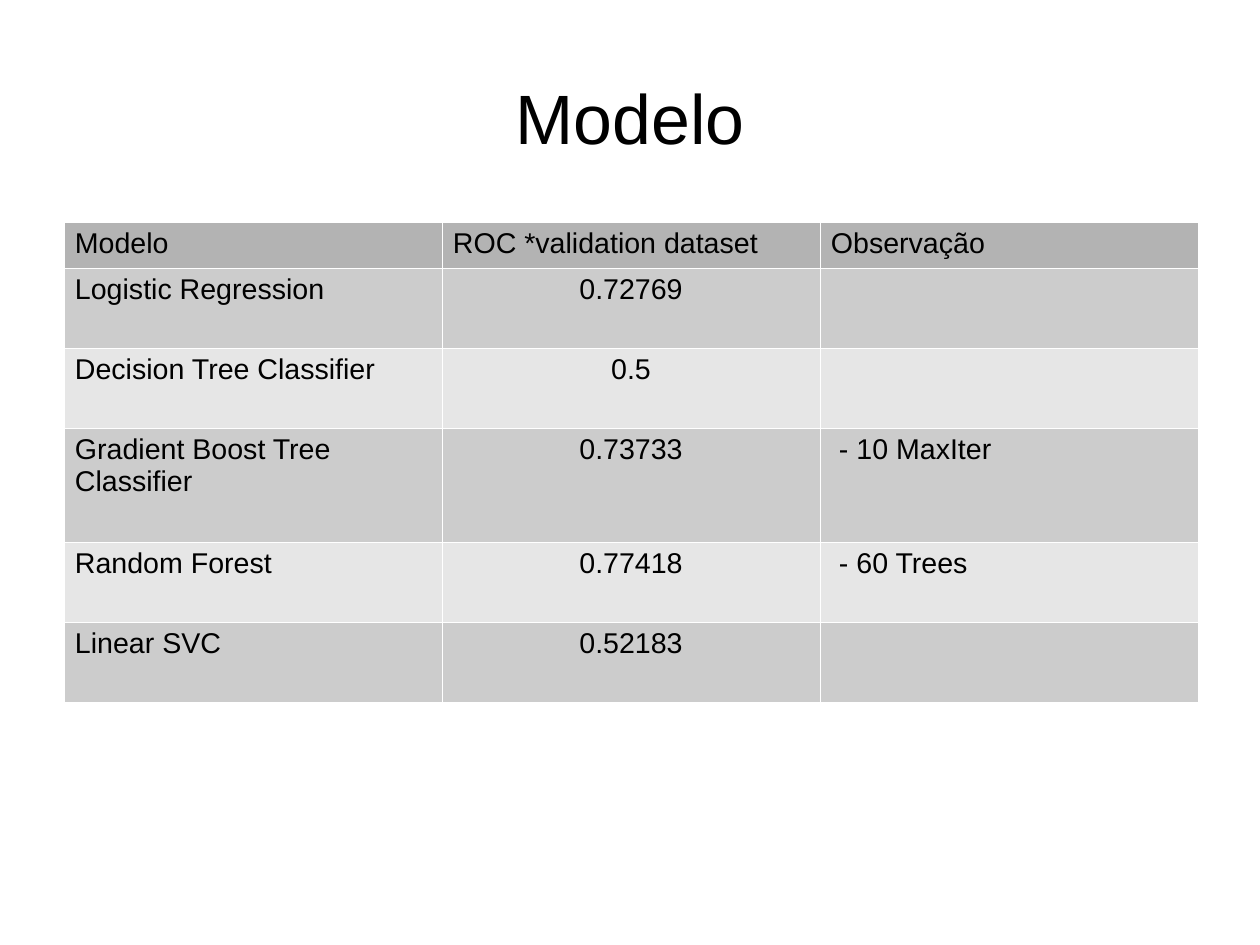
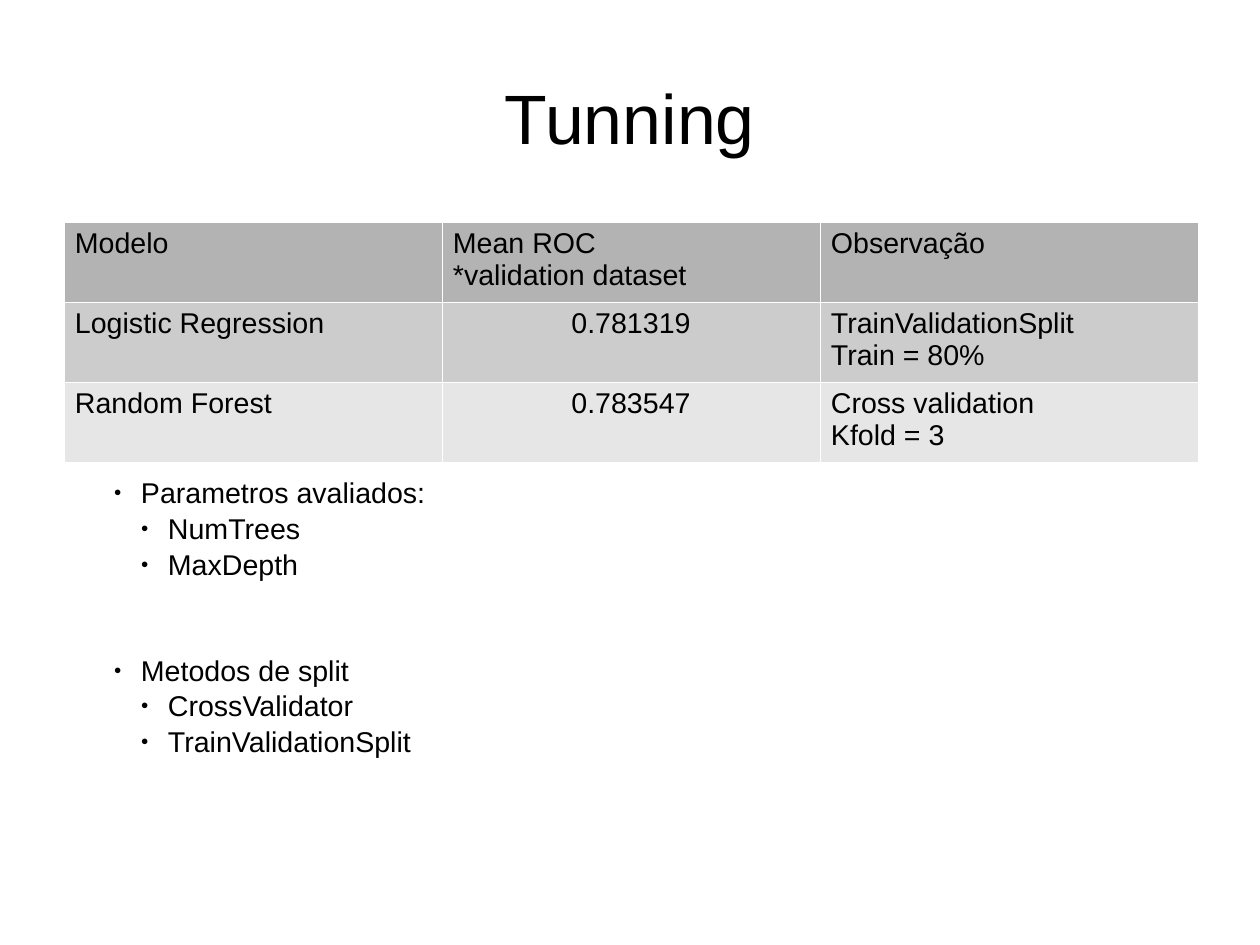
import pptx
import pptx.util
import pptx.dml.color
import pptx.enum.text
import pptx.oxml.ns
from lxml import etree

# Content
SLIDES = [
    {
        "title": "Modelo",
        "rows": [
            ("Modelo", "ROC *validation dataset", "Observação"),
            ("Logistic Regression", "0.72769", ""),
            ("Decision Tree Classifier", "0.5", ""),
            ("Gradient Boost Tree Classifier", "0.73733", "- 10 MaxIter"),
            ("Random Forest", "0.77418", "- 60 Trees"),
            ("Linear SVC", "0.52183", ""),
        ],
        "heights": [46, 80, 80, 114, 80, 80],
        "groups": [],
    },
    {
        "title": "Tunning",
        "rows": [
            ("Modelo", "Mean ROC\n*validation dataset", "Observação"),
            ("Logistic Regression", "0.781319", "TrainValidationSplit\nTrain = 80%"),
            ("Random Forest", "0.783547", "Cross validation\nKfold = 3"),
        ],
        "heights": [80, 80, 80],
        "groups": [
            ("Parametros avaliados:", ["NumTrees", "MaxDepth"]),
            ("Metodos de split", ["CrossValidator", "TrainValidationSplit"]),
        ],
    },
]

# Shared style, lengths in px
PX = 8000
SLIDE_SIZE = (1260, 945)
TITLE_AREA = (63, 38, 1134, 158)
LIST_AREA = (103, 469, 1074, 299)
TABLE_LEFT, TABLE_TOP, COLUMN_WIDTH = 64, 222, 378
INSET_X, INSET_Y, DASH_INDENT = 11, 6, 8
LIST_INDENT = 27
FONT, TITLE_SIZE, TEXT_SIZE = "Arial", 44, 18
LINE_GAP, GROUP_GAP = 1, 45  # points
BLACK, WHITE, HEADER = "000000", "FFFFFF", "B3B3B3"
BANDS = ("CCCCCC", "E6E6E6")


def px(length):
    return pptx.util.Emu(length * PX)


def color(value):
    return pptx.dml.color.RGBColor.from_string(value)


def child(parent, tag, **attributes):
    return etree.SubElement(parent, pptx.oxml.ns.qn(tag), attributes)


def style(para, size, align=pptx.enum.text.PP_ALIGN.LEFT):
    para.alignment = align
    para.font.name = FONT
    para.font.size = pptx.util.Pt(size)
    para.font.color.rgb = color(BLACK)


def place(box, area):
    box.left, box.top, box.width, box.height = map(px, area)


def set_insets(target, left, top, right, bottom):
    target.margin_left, target.margin_top = px(left), px(top)
    target.margin_right, target.margin_bottom = px(right), px(bottom)


def add_title(page, text):
    box = page.shapes.title
    place(box, TITLE_AREA)
    frame = box.text_frame
    frame.text = text
    frame.vertical_anchor = pptx.enum.text.MSO_ANCHOR.MIDDLE
    frame.auto_size = pptx.enum.text.MSO_AUTO_SIZE.NONE
    set_insets(frame, 0, 0, 0, 0)
    style(frame.paragraphs[0], TITLE_SIZE, pptx.enum.text.PP_ALIGN.CENTER)


def format_cell(cell, text, fill, centered):
    cell.text = text
    indent = DASH_INDENT if text.startswith("-") else 0
    set_insets(cell, INSET_X + indent, INSET_Y, INSET_X, INSET_Y)
    # Hairline borders come before the fill
    properties = cell._tc.get_or_add_tcPr()
    for side in ("a:lnL", "a:lnR", "a:lnT", "a:lnB"):
        line = child(properties, side, w="720")
        child(child(line, "a:solidFill"), "a:srgbClr", val=WHITE)
    cell.fill.solid()
    cell.fill.fore_color.rgb = color(fill)
    align = pptx.enum.text.PP_ALIGN
    for para in cell.text_frame.paragraphs:
        style(para, TEXT_SIZE, align.CENTER if centered else align.LEFT)


def add_table(page, rows, heights):
    columns = len(rows[0])
    table = page.shapes.add_table(
        len(rows), columns, px(TABLE_LEFT), px(TABLE_TOP),
        px(COLUMN_WIDTH * columns), px(sum(heights))).table
    table.horz_banding = False
    for column in table.columns:
        column.width = px(COLUMN_WIDTH)
    for r, (row, height) in enumerate(zip(rows, heights)):
        table.rows[r].height = px(height)
        fill = BANDS[(r - 1) % 2] if r else HEADER
        for c, text in enumerate(row):
            format_cell(table.cell(r, c), text, fill, r > 0 and c == 1)


def add_bullet(para, level):
    properties = para._p.get_or_add_pPr()
    properties.set("marL", str(px(LIST_INDENT * (level + 1))))
    properties.set("indent", str(px(-LIST_INDENT)))
    child(child(properties, "a:buClr"), "a:srgbClr", val=BLACK)
    child(properties, "a:buSzPct", val="45000")
    child(properties, "a:buFont", typeface=FONT)
    child(properties, "a:buChar", char="●")


def add_list(page, groups):
    box = page.placeholders[1]
    place(box, LIST_AREA)
    frame = box.text_frame
    frame.auto_size = pptx.enum.text.MSO_AUTO_SIZE.NONE
    frame.vertical_anchor = pptx.enum.text.MSO_ANCHOR.TOP
    set_insets(frame, INSET_X, INSET_Y, INSET_X, INSET_Y)
    items = [(level, text) for heading, children in groups
             for level, text in [(0, heading)] + [(1, item) for item in children]]
    for i, (level, text) in enumerate(items):
        para = frame.add_paragraph() if i else frame.paragraphs[0]
        para.text = text
        para.level = level
        add_bullet(para, level)
        gap = 0 if i == 0 else LINE_GAP if level else GROUP_GAP
        para.space_before = pptx.util.Pt(gap)
        style(para, TEXT_SIZE)


def main():
    deck = pptx.Presentation()
    deck.slide_width, deck.slide_height = map(px, SLIDE_SIZE)
    title_and_content, title_only = deck.slide_layouts[1], deck.slide_layouts[5]
    for content in SLIDES:
        groups = content["groups"]
        page = deck.slides.add_slide(title_and_content if groups else title_only)
        add_title(page, content["title"])
        add_table(page, content["rows"], content["heights"])
        if groups:
            add_list(page, groups)
    deck.save("out.pptx")


if __name__ == "__main__":
    main()
